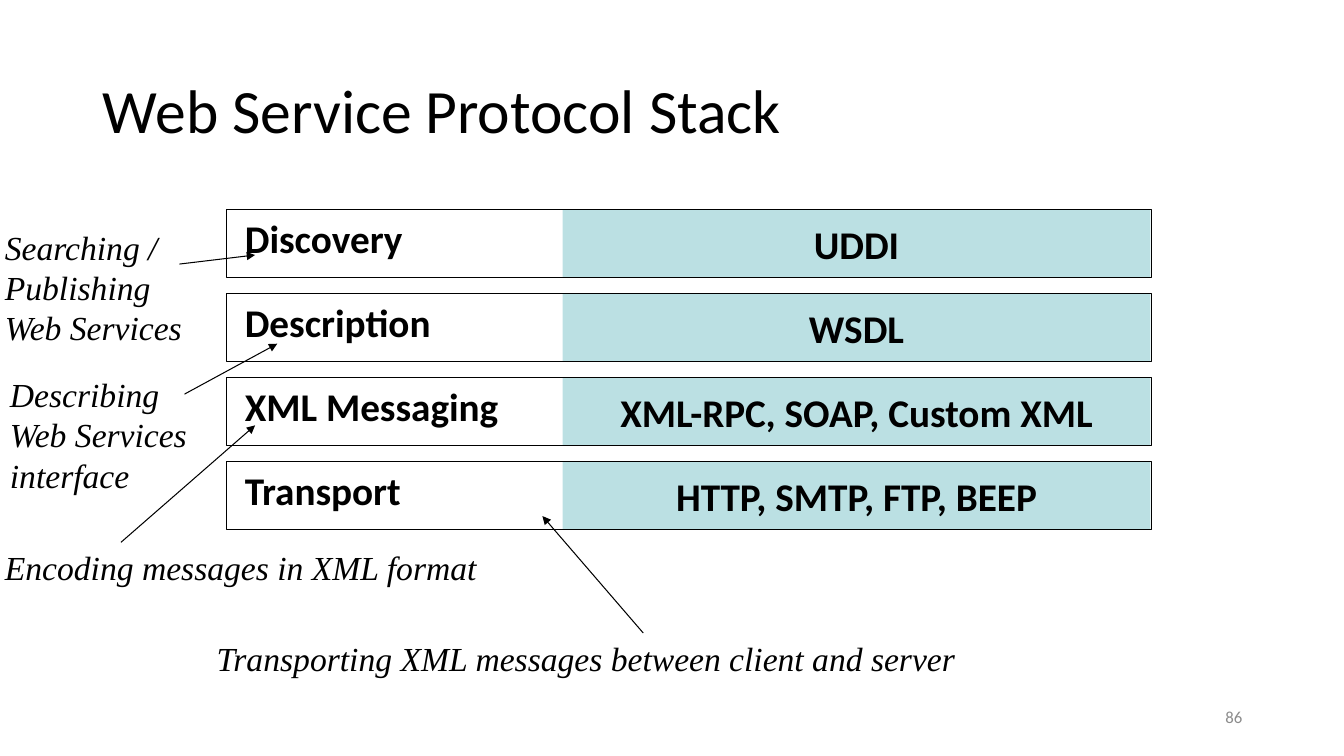
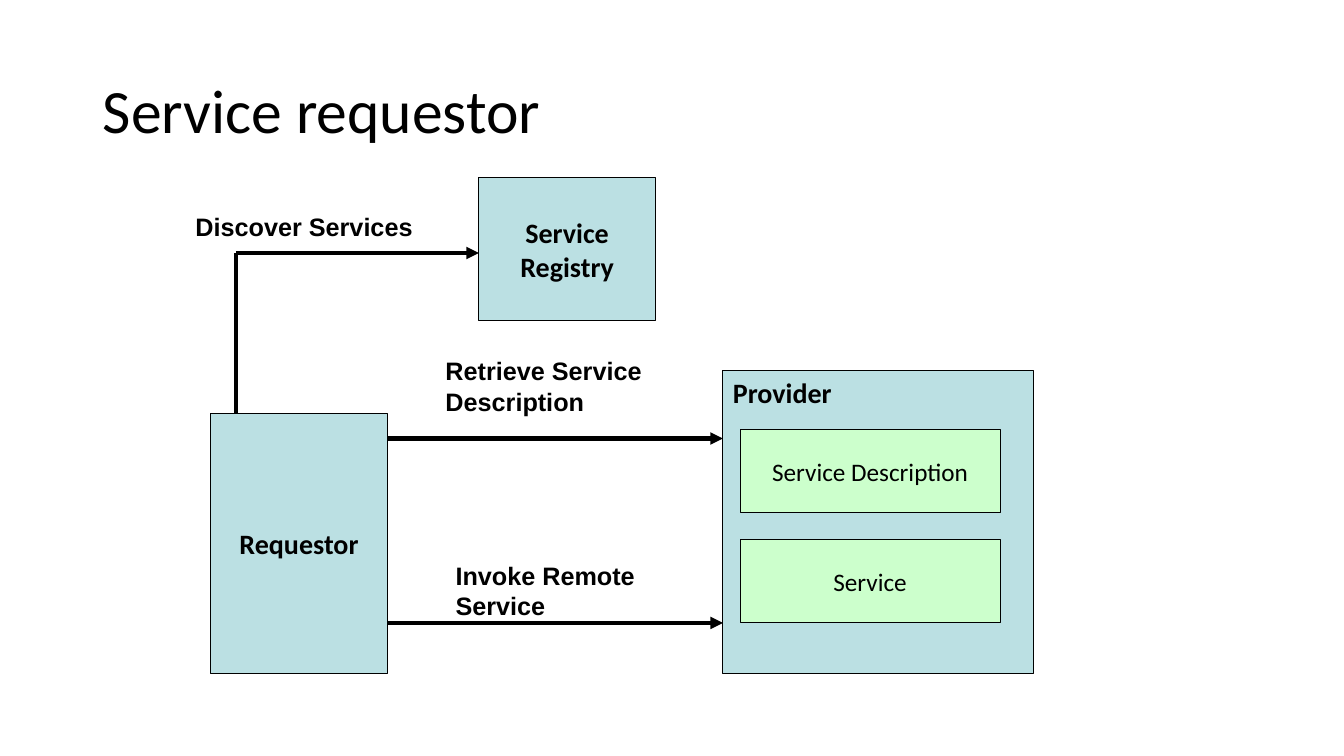
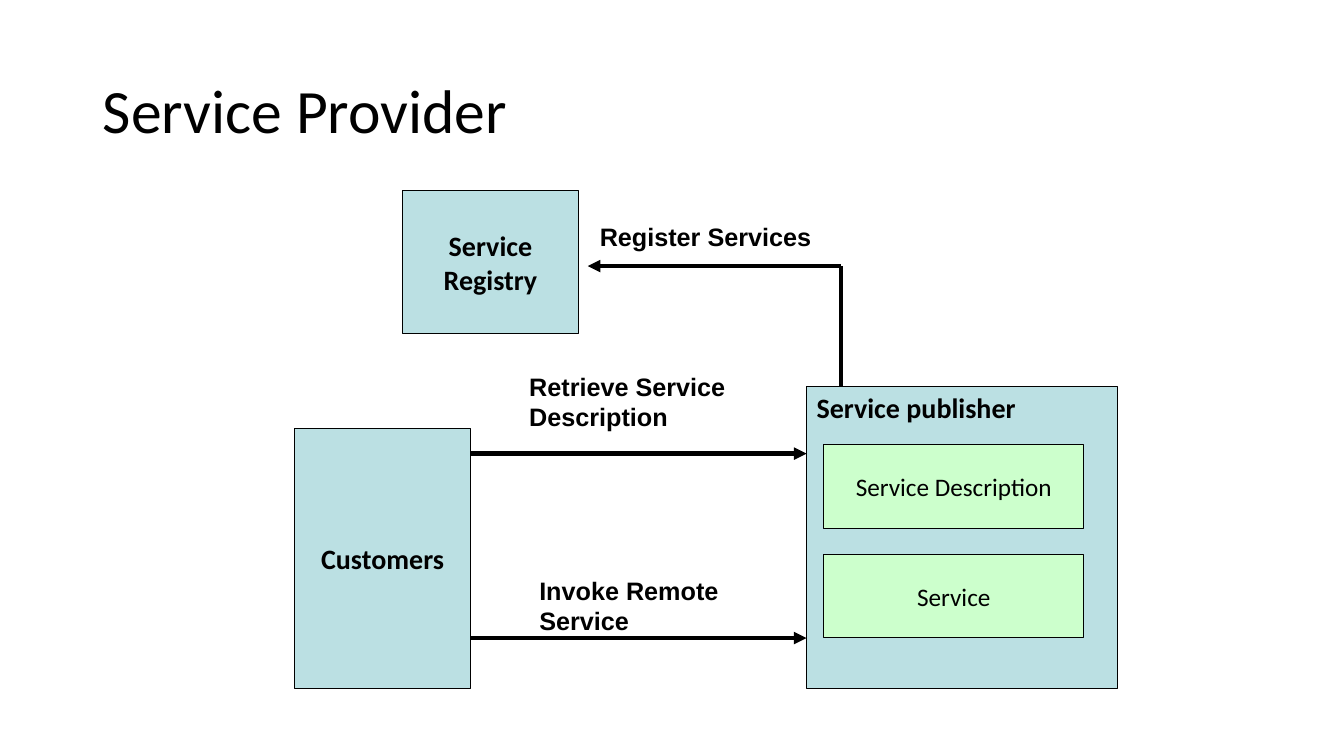
"""Build three slides on the web service protocol stack and its roles."""
from lxml import etree
from pptx import Presentation
from pptx.dml.color import RGBColor
from pptx.enum.shapes import MSO_CONNECTOR as Connector, MSO_SHAPE as Shape
from pptx.enum.text import MSO_ANCHOR as Anchor, MSO_AUTO_SIZE as AutoSize, PP_ALIGN as Align
from pptx.oxml.ns import qn
from pptx.util import Inches, Pt

COLORS = {
    name: RGBColor.from_string(value)
    for name, value in {
        "black": "000000",
        "grey": "8C8C8C",
        "teal": "BBE0E3",
        "green": "CCFFCC",
    }.items()
}
TITLE_BOX = (0.92, 0.4, 11.5, 1.45)


def write(shape, text, size=18, font="Calibri", color="black", bold=False, italic=False,
          align=Align.LEFT, anchor=Anchor.TOP, wrap=False, spacing=1.0):
    frame = shape.text_frame
    frame.text = text
    frame.word_wrap = wrap
    frame.auto_size = AutoSize.NONE
    frame.vertical_anchor = anchor
    for paragraph in frame.paragraphs:
        paragraph.alignment = align
        paragraph.line_spacing = spacing
        paragraph.font.size = Pt(size)
        paragraph.font.name = font
        paragraph.font.bold = bold
        paragraph.font.italic = italic
        paragraph.font.color.rgb = COLORS[color]


def draw(slide, kind, box, fill=None, width=None, arrow=False):
    lengths = [Inches(value) for value in box]
    if kind == "text":
        return slide.shapes.add_textbox(*lengths)
    if kind == "line":
        shape = slide.shapes.add_connector(Connector.STRAIGHT, *lengths)
    else:
        shape = slide.shapes.add_shape(Shape.RECTANGLE, *lengths)
        shape.shadow.inherit = False
        if fill:
            shape.fill.solid()
            shape.fill.fore_color.rgb = COLORS[fill]
        else:
            shape.fill.background()
    if width:
        shape.line.color.rgb = COLORS["black"]
        shape.line.width = Pt(width)
    else:
        shape.line.fill.background()
    if arrow:
        etree.SubElement(shape.line._get_or_add_ln(), qn("a:tailEnd"), type="triangle")
    if kind == "line":
        etree.SubElement(shape._element.spPr, qn("a:effectLst"))
    return shape


presentation = Presentation()
presentation.slide_width = Inches(13.33)
presentation.slide_height = Inches(7.5)

slides = []
for title_text in ("Web Service Protocol Stack", "Service requestor", "Service Provider"):
    slide = presentation.slides.add_slide(presentation.slide_layouts[5])
    title = slide.shapes.title
    title.left, title.top, title.width, title.height = [Inches(value) for value in TITLE_BOX]
    write(title, title_text, size=44, anchor=Anchor.MIDDLE, wrap=True, spacing=0.9)
    slides.append(slide)
stack_slide, *role_slides = slides

centred = {"align": Align.CENTER, "anchor": Anchor.MIDDLE}

write(draw(stack_slide, "text", (9.42, 6.91, 3, 0.4)), "86", size=12, color="grey",
      align=Align.RIGHT, anchor=Anchor.MIDDLE, wrap=True)

layers = [
    ("Discovery", 1.78, "UDDI"),
    ("Description", 2.07, "WSDL"),
    ("XML Messaging", 2.74, "XML-RPC, SOAP, Custom XML"),
    ("Transport", 1.77, "HTTP, SMTP, FTP, BEEP"),
]
for index, (layer, label_width, protocols) in enumerate(layers):
    top = 2.08 + index * 2.5 / 3
    protocol_box = draw(stack_slide, "rectangle", (5.58, top, 5.83, 0.67), fill="teal")
    write(protocol_box, protocols, size=28, bold=True, **centred)
    write(draw(stack_slide, "text", (2.33, top, label_width, 0.57)), layer, size=28, bold=True)
    draw(stack_slide, "rectangle", (2.25, top, 9.17, 0.67), width=0.75)
draw(stack_slide, "line", (4.92, 2.75, 2.33, 2.75), width=0.75)

remarks = [
    ("Searching / Publishing Web Services", (-0.05, 2.2, 2.1, 1.31), True,
     (1.78, 2.62, 2.53, 2.53)),
    ("Describing Web Services interface", (0, 3.66, 2.18, 1.31), True,
     (1.83, 3.91, 2.75, 3.41)),
    ("Encoding messages in XML format", (-0.05, 5.38, 4.96, 0.5), False,
     (1.2, 5.38, 2.53, 4.22)),
    ("Transporting XML messages between client and server", (2.05, 6.28, 7.56, 0.5), False,
     (6.38, 6.28, 5.38, 5.12)),
]
for remark, box, wrap, pointer in remarks:
    write(draw(stack_slide, "text", box), remark, size=24, font="Times New Roman",
          italic=True, wrap=wrap)
    draw(stack_slide, "line", pointer, width=0.75, arrow=True)

roles = [
    {"origin": (2.09, 3.68), "client": "Requestor", "provider": "Provider",
     "registry": (4.75, 1.76), "start": (2.34, 4.1), "end": (4.75, 2.51),
     "action": "Discover Services", "action_box": (1.84, 2.05, 2.35, 0.4)},
    {"origin": (2.92, 3.83), "client": "Customers", "provider": "Service publisher",
     "registry": (3.99, 1.89), "start": (8.34, 3.83), "end": (5.83, 2.64),
     "action": "Register Services", "action_box": (5.85, 2.15, 2.32, 0.4)},
]
for slide, role in zip(role_slides, roles):
    left, top = role["origin"]
    client = draw(slide, "rectangle", (left, top + 0.42, 1.75, 2.58), fill="teal", width=0.75)
    write(client, role["client"], size=20, bold=True, **centred)
    registry = draw(slide, "rectangle", (*role["registry"], 1.75, 1.42), fill="teal", width=0.75)
    write(registry, "Service\nRegistry", size=20, bold=True, **centred)

    corner = (role["start"][0], role["end"][1])
    draw(slide, "line", (*role["start"], *corner), width=3)
    draw(slide, "line", (*corner, *role["end"]), width=3, arrow=True)

    provider = draw(slide, "rectangle", (left + 5.08, top, 3.08, 3), fill="teal", width=0.75)
    write(provider, role["provider"], size=20, bold=True)
    for part, offset in (("Service Description", 0.58), ("Service", 1.67)):
        part_box = draw(slide, "rectangle", (left + 5.25, top + offset, 2.58, 0.83),
                        fill="green", width=0.75)
        write(part_box, part, **centred)

    for offset in (0.67, 2.5):
        draw(slide, "line", (left + 1.75, top + offset, left + 5.08, top + offset),
             width=3, arrow=True)
    actions = [
        (role["action"], role["action_box"]),
        ("Retrieve Service\nDescription", (left + 2.23, top - 0.2, 2.15, 0.7)),
        ("Invoke Remote\nService", (left + 2.33, top + 1.83, 2.05, 0.7)),
    ]
    for action, box in actions:
        write(draw(slide, "text", box), action, font="Arial", bold=True)

presentation.save("out.pptx")
